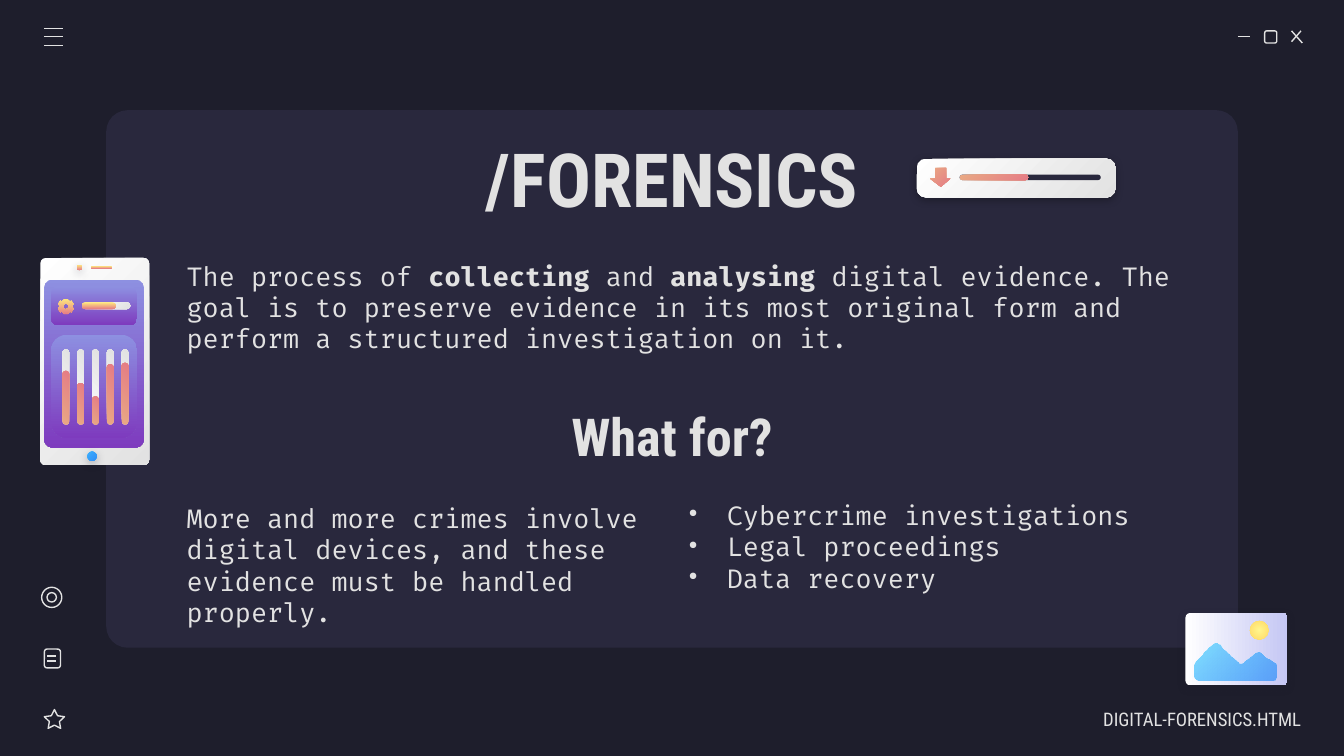
import math
from dataclasses import dataclass
from typing import Optional, Union

from lxml import etree
from pptx import Presentation
from pptx import util as u
from pptx.dml import color
from pptx.enum import shapes, text
from pptx.oxml import ns

PALE, DARK, PANEL = "E2E2E2", "1E1E2C", "29283D"
HEAD, BODY = "Roboto Condensed", "Fira Code"
ROUND = shapes.MSO_SHAPE.ROUNDED_RECTANGLE
OVAL = shapes.MSO_SHAPE.OVAL
STAR = shapes.MSO_SHAPE.STAR_5_POINT
LEFT, MID, RIGHT = text.PP_ALIGN.LEFT, text.PP_ALIGN.CENTER, text.PP_ALIGN.RIGHT


@dataclass(frozen=True)
class Grad:
    first: str
    last: str
    ang: int = 45  # clockwise degrees
    alpha: int = 100  # opacity of the last stop
    radial: bool = False


@dataclass(frozen=True)
class Part:
    at: tuple
    fill: Optional[Union[str, Grad]] = None  # None: outline only
    adj: Optional[float] = None
    kind: int = ROUND
    rot: int = 0
    shade: Optional[str] = None


WHITE = Grad("FFFFFF", PALE)
CORAL = Grad("E9A984", "E57C85")
GOLD = Grad("FFEA7D", "E57C85", 90)
VIOLET = Grad("8D90E1", "7E3BBE", 90)


def rgb(code: str) -> color.RGBColor:
    return color.RGBColor.from_string(code)


def sub(node, tag: str, **attrs):
    return etree.SubElement(node, ns.qn(tag), {k: str(v) for k, v in attrs.items()})


def paint(shape, fill) -> None:
    """Fill a shape with a colour or gradient; without either, outline it."""
    shape.shadow.inherit = False
    if fill is None:
        shape.fill.background()
        shape.line.color.rgb = rgb(PALE)
        shape.line.width = u.Pt(0.75)
        return
    shape.line.fill.background()
    if isinstance(fill, str):
        shape.fill.solid()
        shape.fill.fore_color.rgb = rgb(fill)
        return
    shape.fill.gradient()
    shape.fill.gradient_angle = (360 - fill.ang) % 360
    for stop, code, spot in zip(shape.fill.gradient_stops, (fill.first, fill.last), (0, 1)):
        stop.color.rgb = rgb(code)
        stop.position = spot
    node = shape.element.spPr.find(ns.qn("a:gradFill"))
    if fill.alpha < 100:
        last = node.findall(".//" + ns.qn("a:srgbClr"))[-1]
        sub(last, "a:alpha", val=fill.alpha * 1000)
    if fill.radial:
        node.remove(node.find(ns.qn("a:lin")))
        ring = sub(node, "a:path", path="circle")
        sub(ring, "a:fillToRect", l=50000, t=50000, r=50000, b=50000)


def draw(tree, part: Part):
    shape = tree.add_shape(part.kind, *map(u.Inches, part.at))
    shape.rotation = part.rot
    if part.adj is not None:
        shape.adjustments[0] = part.adj
    paint(shape, part.fill)
    if part.shade:
        glow = shape.element.spPr.find(ns.qn("a:effectLst"))
        cast = sub(glow, "a:outerShdw", blurRad=u.Pt(4.5), dist=u.Pt(1.5),
                   dir=90 * 60000, algn="bl", rotWithShape=0)
        sub(sub(cast, "a:srgbClr", val=part.shade), "a:alpha", val=30000)
    return shape


def rule(tree, *ends: float) -> None:
    line = tree.add_connector(shapes.MSO_CONNECTOR.STRAIGHT, *map(u.Inches, ends))
    line.line.color.rgb = rgb(PALE)
    line.line.width = u.Pt(0.75)
    sub(line.element.spPr, "a:effectLst")


def outline(tree, loops: list, fill: Grad) -> None:
    loops = [[(u.Inches(x), u.Inches(y)) for x, y in loop] for loop in loops]
    pen = tree.build_freeform(*loops[0][0])
    for num, loop in enumerate(loops):
        if num:
            pen.move_to(*loop[0])
        pen.add_line_segments(loop[1:], close=True)
    paint(pen.convert_to_shape(), fill)


def curve(a, b, c, d, steps: int = 8) -> list:
    """Points along a cubic curve."""
    ts = [n / steps for n in range(steps + 1)]
    return [tuple((1 - t) ** 3 * p + 3 * t * (1 - t) ** 2 * q + 3 * t * t * (1 - t) * r + t ** 3 * s
                  for p, q, r, s in zip(a, b, c, d)) for t in ts]


def polar(x: float, y: float, rad: float, deg: float) -> tuple:
    turn = math.radians(deg)
    return x + rad * math.cos(turn), y + rad * math.sin(turn)


def write(box, at: tuple, paras: list, size: int, face: str, align=LEFT,
          bold=False, dots=False, right=0.1) -> None:
    """Each paragraph is a list of runs; every second run is bold."""
    box.left, box.top, box.width, box.height = map(u.Inches, at)
    frame = box.text_frame
    form = {"word_wrap": True, "auto_size": text.MSO_AUTO_SIZE.NONE,
            "vertical_anchor": text.MSO_ANCHOR.MIDDLE, "margin_right": u.Inches(right)}
    form |= {f"margin_{side}": u.Inches(0.1) for side in ("left", "top", "bottom")}
    for key, val in form.items():
        setattr(frame, key, val)
    for num, runs in enumerate(paras):
        para = frame.add_paragraph() if num else frame.paragraphs[0]
        para.alignment = align
        if dots:
            props = para._p.get_or_add_pPr()
            props.set("marL", str(u.Inches(0.31)))
            props.set("indent", str(-u.Inches(0.31)))
            sub(sub(props, "a:buClr"), "a:srgbClr", val=PALE)
            sub(props, "a:buFont", typeface=face)
            sub(props, "a:buChar", char="•")
        for spot, words in enumerate(runs):
            run = para.add_run()
            run.text = words
            look = {"size": u.Pt(size), "name": face, "bold": bold or spot % 2 == 1}
            for key, val in look.items():
                setattr(run.font, key, val)
            run.font.color.rgb = rgb(PALE)


# Widescreen slide, 16 to 9
deck = Presentation()
deck.slide_width = u.Inches(10)
deck.slide_height = u.Inches(10 * 9 / 16)
slide = deck.slides.add_slide(deck.slide_layouts[5])
slide.background.fill.solid()
slide.background.fill.fore_color.rgb = rgb(DARK)
tree = slide.shapes

# Panel, with the title in front of it
panel = draw(tree, Part((0.79, 0.82, 8.42, 4), PANEL, 0.04))
panel.element.addnext(tree.title.element)
write(tree.title, (1.7, 0.89, 6.6, 0.87), [["/FORENSICS"]], 40, HEAD, MID, True)

# Window controls and menu
tools = tree.add_group_shape().shapes
rule(tools, 9.21, 0.27, 9.3, 0.27)
draw(tools, Part((9.41, 0.23, 0.09, 0.09), adj=0.17))
rule(tools, 9.61, 0.23, 9.69, 0.32)
rule(tools, 9.68, 0.23, 9.61, 0.31)
menu = tree.add_group_shape().shapes
for y in (0.21, 0.27, 0.34):
    rule(menu, 0.33, y, 0.47, y)

# Side icons
side = tree.add_group_shape().shapes
for part in (Part((0.33, 5.28, 0.15, 0.14), adj=0.25, kind=STAR),
             Part((0.33, 4.83, 0.12, 0.14), adj=0.17),
             Part((0.31, 4.37, 0.15, 0.15), kind=OVAL),
             Part((0.35, 4.41, 0.07, 0.07), kind=OVAL)):
    draw(side, part)
for y in (4.88, 4.92):
    rule(side, 0.35, y, 0.42, y)

# Text
for at, paras, size, face, form in (
    ((1.29, 1.76, 7.6, 1.05),
     [["The process of ", "collecting", " and ", "analysing",
       " digital evidence. The goal is to preserve evidence in its most original form "
       "and perform a structured investigation on it."]], 14, BODY, {}),
    ((7.84, 5.2, 1.84, 0.3), [["DIGITAL-FORENSICS.HTML"]], 10, HEAD,
     {"align": RIGHT, "right": 0}),
    ((1.7, 2.81, 6.6, 0.87), [["What for?"]], 28, HEAD, {"align": MID, "bold": True}),
    ((5, 3.54, 3.93, 1.05),
     [["Cybercrime investigations"], ["Legal proceedings"], ["Data recovery"]],
     14, BODY, {"dots": True}),
    ((1.29, 3.68, 3.93, 1.05),
     [["More and more crimes involve digital devices, and these evidence "
       "must be handled properly."]], 14, BODY, {}),
):
    write(tree.add_textbox(0, 0, 0, 0), at, paras, size, face, **form)

# Landscape card
draw(tree, Part((8.93, 4.45, 0.54, 0.76), Grad("FFFFFF", "C5C7F4", 90), 0.07, rot=270, shade=DARK))
hills = [
    *curve((8.9, 4.92), (9, 4.81), (9.05, 4.74), (9.1, 4.82)),
    *curve((9.21, 4.92), (9.22, 4.93), (9.24, 4.94), (9.26, 4.92)),
    *curve((9.32, 4.87), (9.36, 4.84), (9.37, 4.84), (9.41, 4.88)),
    *curve((9.49, 4.93), (9.5, 4.94), (9.5, 4.95), (9.5, 4.96)),
    *curve((9.5, 5.02), (9.5, 5.04), (9.49, 5.06), (9.46, 5.06)),
    *curve((8.93, 5.06), (8.91, 5.06), (8.89, 5.04), (8.89, 5.02)),
    (8.89, 4.94)]
outline(tree, [hills], Grad("80DFFF", "318FFA", alpha=72))
draw(tree, Part((9.3, 4.62, 0.14, 0.14), Grad("FFF68E", "FFD966", radial=True), kind=OVAL))

# Download bar
draw(tree, Part((6.82, 1.18, 1.48, 0.29), WHITE, 0.24, shade="000000"))
for wide, fill in ((1.05, PANEL), (0.51, CORAL)):
    draw(tree, Part((7.14, 1.3, wide, 0.04), fill, 0.5))
outline(tree, [[(6.96, 1.25), (6.96, 1.33), (6.92, 1.33), (7, 1.39),
                (7.07, 1.33), (7.04, 1.33), (7.04, 1.25)]], CORAL)

# Phone
phone = tree.add_group_shape().shapes
for part in (Part((0.3, 1.92, 0.81, 1.54), WHITE, 0.05),
             Part((0.33, 2.08, 0.74, 1.25), VIOLET, 0.08),
             Part((0.38, 2.13, 0.64, 0.29), VIOLET, 0.19),
             Part((0.38, 2.49, 0.64, 0.77), VIOLET, 0.19),
             Part((0.61, 2.25, 0.36, 0.05), WHITE, 0.5),
             Part((0.61, 2.25, 0.25, 0.05), GOLD, 0.5),
             Part((0.57, 1.97, 0.04, 0.04), GOLD, kind=OVAL, shade=DARK),
             Part((0.65, 3.36, 0.07, 0.07), Grad("3DB0FD", "308EF7"), kind=OVAL, shade=DARK),
             Part((0.68, 1.98, 0.15, 0.02), GOLD, 0.5)):
    draw(phone, part)
teeth = [polar(0.49, 2.28, rad, 60 * n + 30 + turn) for n in range(6)
         for rad, turn in ((0.05, -20), (0.06, -16), (0.06, 16), (0.05, 20))]
hole = [polar(0.49, 2.28, 0.02, -20 * n) for n in range(18)]
outline(phone, [teeth, hole], GOLD)

# Upright gauges: all stand on one base line
BASE, THICK = 3.16, 0.05
for num, level in enumerate((0.4, 0.31, 0.21, 0.45, 0.46)):
    mid = 0.49 + 0.11 * num
    for size, fill in ((0.56, WHITE), (level, CORAL)):
        at = (mid - size / 2, BASE - size / 2 - THICK / 2, size, THICK)
        draw(phone, Part(at, fill, 0.5, rot=270))

deck.save("out.pptx")
